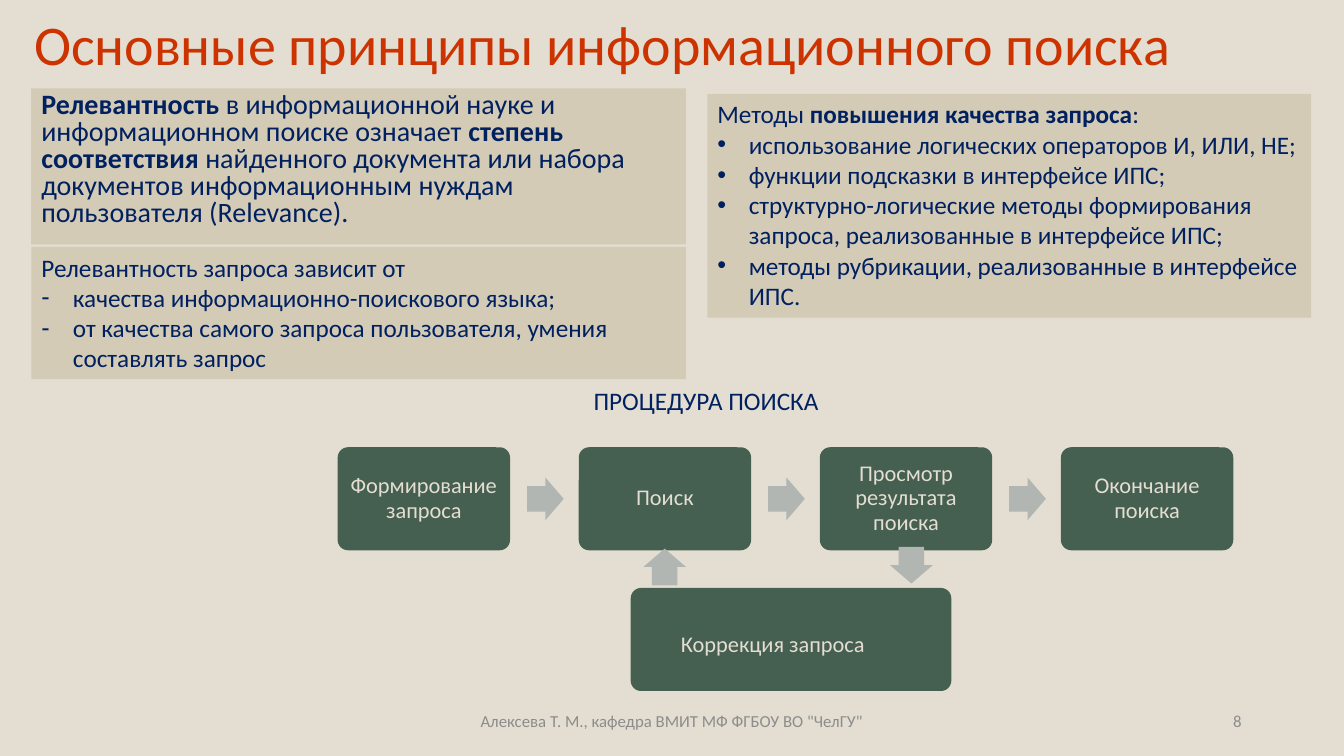
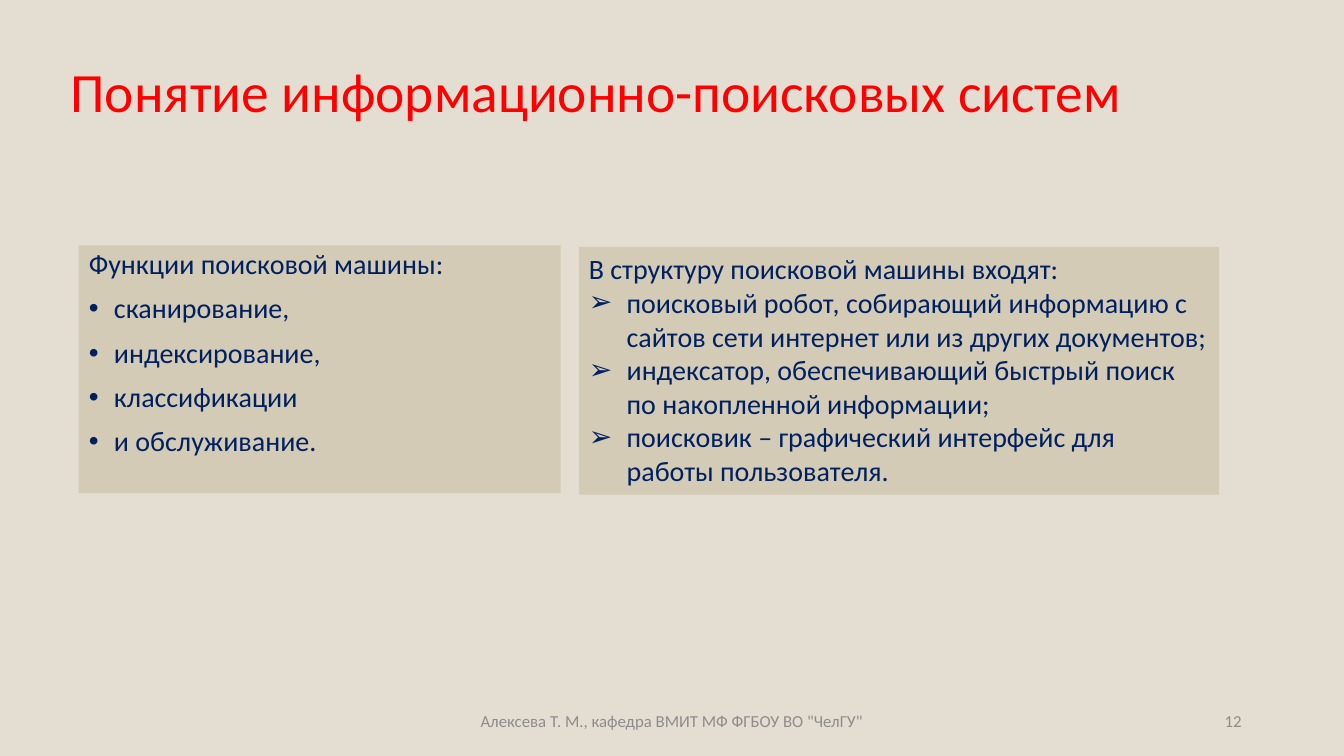
from dataclasses import dataclass
from typing import NamedTuple

from lxml import etree
from pptx import Presentation
from pptx.dml.color import RGBColor
from pptx.enum import shapes as sh, text as tx
from pptx.oxml import ns
from pptx.util import Pt


@dataclass(frozen=True)
class Theme:
    font: str = "Calibri"
    back: str = "E3DED1"
    panel: str = "D3CBB6"
    ink: str = "002060"
    card: str = "455F51"
    arrow: str = "B1B6B3"
    muted: str = "8C8C8C"
    rust: str = "CC3300"
    red: str = "FF0000"
    head: float = 40
    large: float = 20
    text: float = 18
    label: float = 16
    small: float = 12


T = Theme()
LEFT, MID, RIGHT = tx.PP_ALIGN.LEFT, tx.PP_ALIGN.CENTER, tx.PP_ALIGN.RIGHT


class Box(NamedTuple):
    left: float
    top: float
    width: float
    height: float


class Run(NamedTuple):
    text: str
    bold: bool = False


class Para(NamedTuple):
    runs: tuple[Run, ...]
    mark: str = ""


@dataclass(frozen=True)
class Style:
    size: float
    color: str = T.ink
    align: tx.PP_ALIGN = LEFT
    line: float = 1.0
    gap: float = 0
    indent: float = 0


@dataclass(frozen=True)
class Panel:
    box: Box
    paras: list[Para]
    style: Style


def plain(text: str) -> list[Para]:
    return [Para((Run(text),))]


def items(mark: str, *lines: str) -> list[Para]:
    return [Para((Run(line),), mark) for line in lines]


def place(shape, box: Box) -> None:
    shape.left, shape.top, shape.width, shape.height = map(Pt, box)


def paint(shape, color: str) -> None:
    shape.fill.solid()
    shape.fill.fore_color.rgb = RGBColor.from_string(color)


def set_mark(par, mark: str, indent: float) -> None:
    """Give the paragraph a hanging bullet, or none."""
    props = par._p.get_or_add_pPr()
    step = Pt(indent) if mark else 0
    props.set("marL", str(step))
    props.set("indent", str(-step))
    if mark:
        etree.SubElement(props, ns.qn("a:buFont")).set("typeface", "Arial")
        etree.SubElement(props, ns.qn("a:buChar")).set("char", mark)
    else:
        etree.SubElement(props, ns.qn("a:buNone"))


def write(shape, paras: list[Para], style: Style, anchor=tx.MSO_ANCHOR.TOP) -> None:
    frame = shape.text_frame
    frame.word_wrap = True
    frame.auto_size = tx.MSO_AUTO_SIZE.NONE
    frame.vertical_anchor = anchor
    for i, para in enumerate(paras):
        par = frame.add_paragraph() if i else frame.paragraphs[0]
        set_mark(par, para.mark, style.indent)
        par.alignment = style.align
        par.line_spacing = style.line
        par.space_before = Pt(style.gap if i else 0)
        par.space_after = Pt(0)
        for piece in para.runs:
            run = par.add_run()
            run.text = piece.text
            font = run.font
            font.name, font.size, font.bold = T.font, Pt(style.size), piece.bold
            font.color.rgb = RGBColor.from_string(style.color)


def add_form(slide, kind, box: Box, color: str):
    form = slide.shapes.add_shape(kind, *map(Pt, box))
    form.shadow.inherit = False
    form.line.fill.background()
    paint(form, color)
    return form


def add_panel(slide, panel: Panel):
    form = add_form(slide, sh.MSO_SHAPE.RECTANGLE, panel.box, T.panel)
    write(form, panel.paras, panel.style)


def add_card(slide, box: Box, text: str):
    card = add_form(slide, sh.MSO_SHAPE.ROUNDED_RECTANGLE, box, T.card)
    card.adjustments[0] = 0.1
    frame = card.text_frame
    frame.margin_left = frame.margin_right = Pt(7)
    frame.margin_top = frame.margin_bottom = Pt(7)
    write(card, plain(text), Style(T.label, T.back, MID, 0.9), tx.MSO_ANCHOR.MIDDLE)
    return card


def add_arrow(slide, left: float, top: float, turn: float = 0) -> None:
    box = Box(left, top, 26.2, 30.5)
    arrow = add_form(slide, sh.MSO_SHAPE.RIGHT_ARROW, box, T.arrow)
    arrow.adjustments[0] = 0.6
    arrow.rotation = turn


def add_foot(slide, box: Box, text: str, align) -> None:
    foot = slide.shapes.add_textbox(*map(Pt, box))
    write(foot, plain(text), Style(T.small, T.muted, align), tx.MSO_ANCHOR.MIDDLE)


def add_page(deck, title: str, box: Box, style: Style, body: Panel, num: int):
    """Start a slide with its title, main panel and footer."""
    slide = deck.slides.add_slide(deck.slide_layouts[1])
    head, main = slide.placeholders
    place(head, box)
    write(head, plain(title), style, tx.MSO_ANCHOR.MIDDLE)
    place(main, body.box)
    paint(main, T.panel)
    write(main, body.paras, body.style)
    add_foot(slide, Box(318, 500.5, 324, 28.8),
             'Алексева Т. М., кафедра ВМИТ МФ ФГБОУ ВО "ЧелГУ"', MID)
    add_foot(slide, Box(678, 500.5, 216, 28.8), str(num), RIGHT)
    return slide


def draw_flow(slide) -> None:
    """Draw the search steps and the loop that corrects the query."""
    left, top, step, width, height = 241.2, 319.5, 172.2, 123.1, 73.6
    steps = ("Формирование запроса", "Поиск",
             "Просмотр результата поиска", "Окончание поиска")
    for i, text in enumerate(steps):
        x = left + i * step
        add_card(slide, Box(x, top, width, height), text)
        if i < len(steps) - 1:
            add_arrow(slide, x + 135.3, top + 21.6)
    add_arrow(slide, 637.9, 388.5, 90)
    add_arrow(slide, 461.7, 389.7, 270)
    fix = add_card(slide, Box(450.5, 420, 229, height), "Коррекция запроса")
    fix.text_frame.margin_right = Pt(33)
    fix.text_frame.margin_top = Pt(15)


def draw_basics(deck) -> None:
    body = Panel(Box(22.3, 63.1, 467.7, 111.4), [Para((
        Run("Релевантность", True),
        Run(" в информационной науке и информационном поиске означает "),
        Run("степень соответствия ", True),
        Run("найденного документа или набора документов "
            "информационным нуждам пользователя (Relevance)."),
    ))], Style(T.large, line=0.8))
    slide = add_page(deck, "Основные принципы информационного поиска",
                     Box(17.2, 3.8, 866, 60), Style(T.head, T.rust, line=0.9), body, 8)
    style = Style(T.text, indent=22.5)
    add_panel(slide, Panel(
        Box(22.5, 176.4, 467.5, 94.4),
        plain("Релевантность запроса зависит от") + items(
            "-",
            "качества информационно-поискового языка;",
            "от качества самого запроса пользователя, умения составлять запрос",
        ), style))
    lead = Para((Run("Методы "), Run("повышения качества запроса", True), Run(":")))
    add_panel(slide, Panel(
        Box(505.3, 67, 431.2, 160),
        [lead] + items(
            "•",
            "использование логических операторов И, ИЛИ, НЕ;",
            "функции подсказки в интерфейсе ИПС;",
            "структурно-логические методы формирования запроса, "
            "реализованные в интерфейсе ИПС;",
            "методы рубрикации, реализованные в интерфейсе ИПС.",
        ), style))
    draw_flow(slide)
    name = add_form(slide, sh.MSO_SHAPE.RECTANGLE, Box(416.9, 271.5, 176.4, 29), T.back)
    write(name, plain("ПРОЦЕДУРА ПОИСКА"), Style(T.text))
    name.text_frame.word_wrap = False


def draw_systems(deck) -> None:
    body = Panel(
        Box(56.2, 175.3, 344.2, 177),
        plain("Функции поисковой машины:") + items(
            "•", "сканирование,", "индексирование,",
            "классификации", "и обслуживание.",
        ), Style(T.large, line=0.9, gap=10, indent=18))
    slide = add_page(deck, "Понятие информационно-поисковых систем",
                     Box(43.2, 33.8, 828, 67), Style(T.head - 0.4, T.red, line=0.9),
                     body, 12)
    add_panel(slide, Panel(
        Box(413.5, 176.4, 457.2, 177),
        plain("В структуру поисковой машины входят:") + items(
            "➢",
            "поисковый робот, собирающий информацию с сайтов "
            "сети интернет или из других документов;",
            "индексатор, обеспечивающий быстрый поиск по накопленной информации;",
            "поисковик – графический интерфейс для работы пользователя.",
        ), Style(T.large, indent=27)))


def main() -> None:
    deck = Presentation()
    deck.slide_width, deck.slide_height = Pt(960), Pt(540)
    fill = deck.slide_master.background.fill
    fill.solid()
    fill.fore_color.rgb = RGBColor.from_string(T.back)
    draw_basics(deck)
    draw_systems(deck)
    deck.save("out.pptx")


if __name__ == "__main__":
    main()
